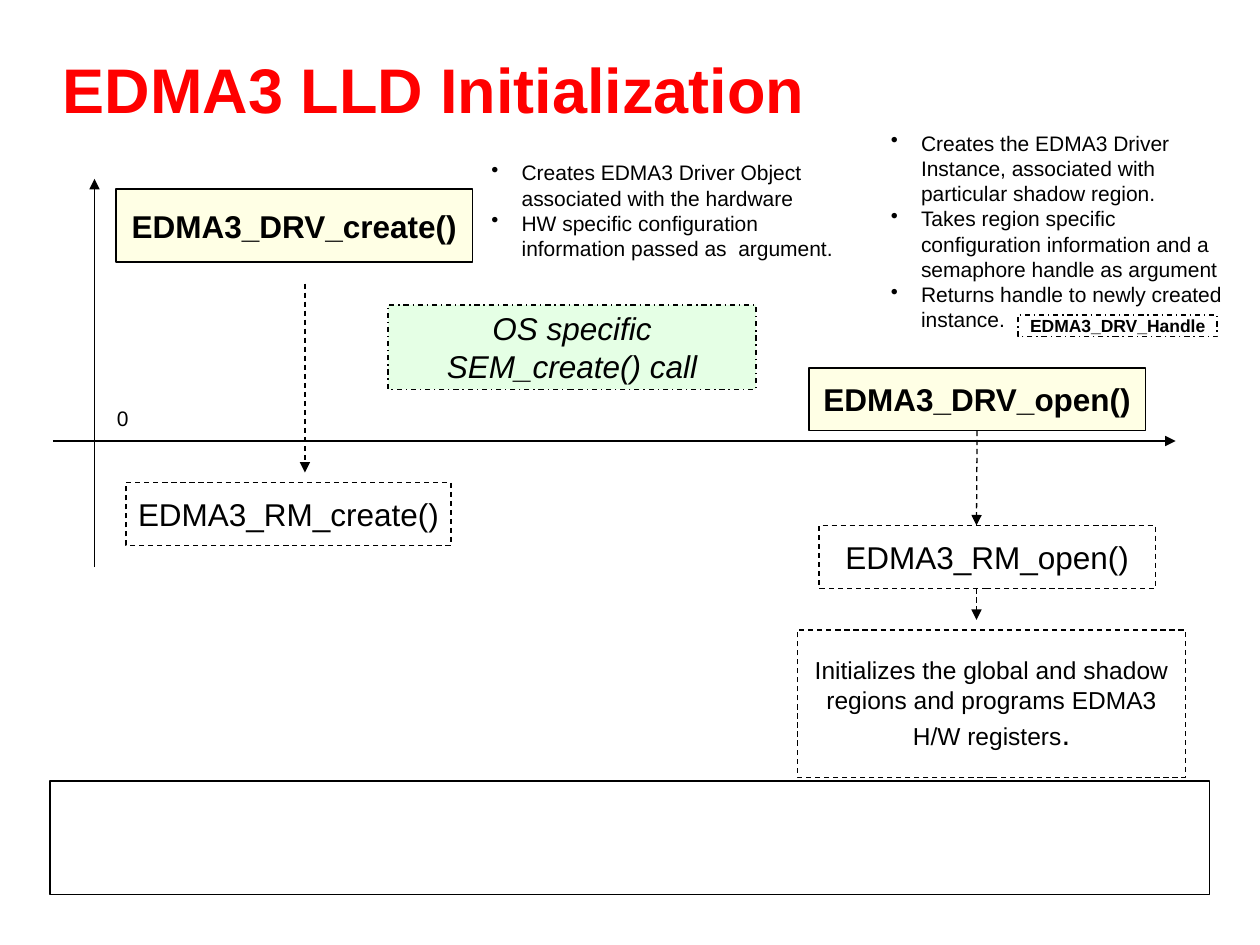
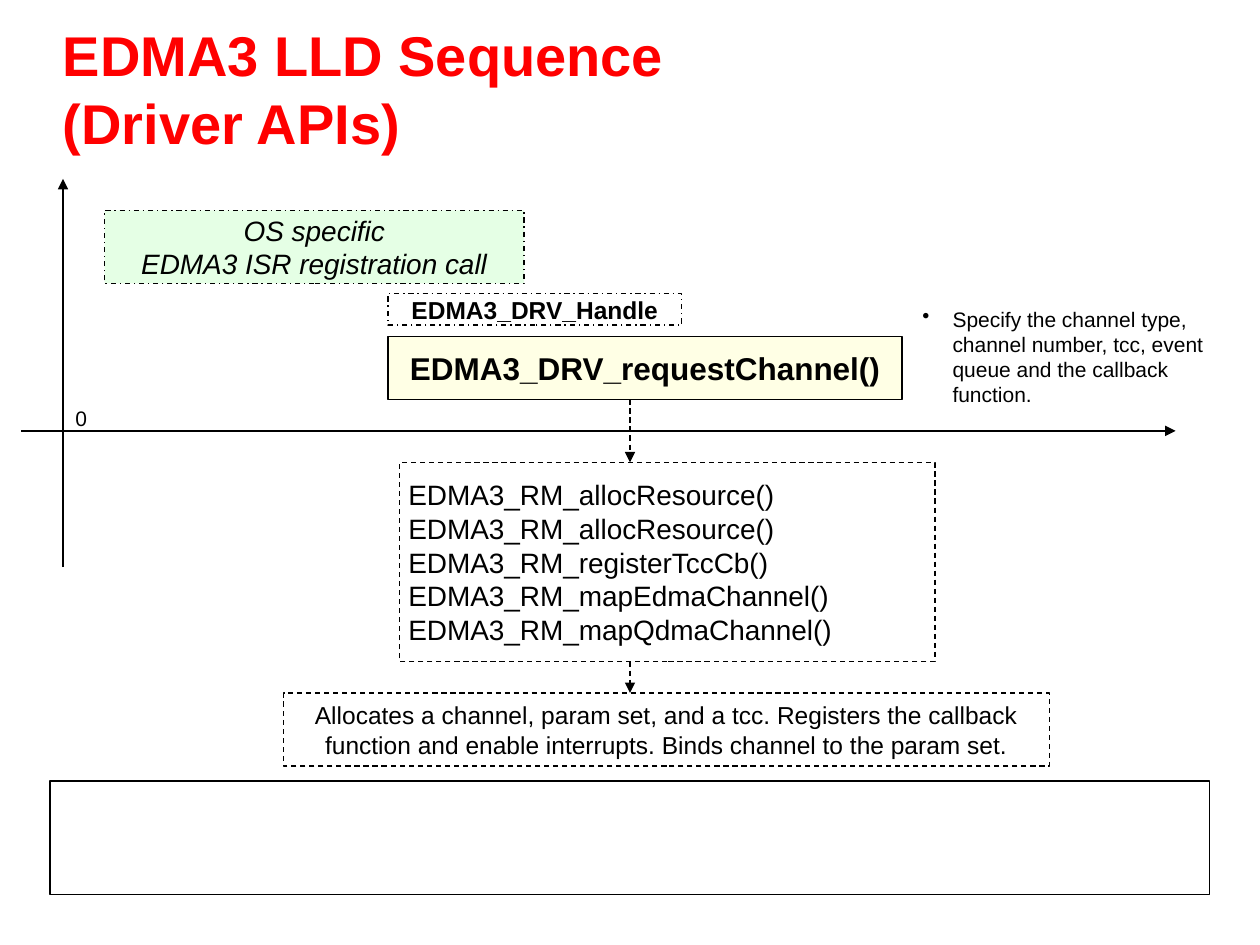
from lxml import etree
from pptx import Presentation
from pptx.dml.color import RGBColor
from pptx.enum import dml, shapes, text
from pptx.oxml import ns
from pptx.util import Inches, Pt

FONT = "Arial"
RED = RGBColor(0xFF, 0x00, 0x00)
BLACK = RGBColor(0x00, 0x00, 0x00)
CREAM = RGBColor(0xFF, 0xFF, 0xCC)
MINT = RGBColor(0xCC, 0xFF, 0xCC)
DASH = dml.MSO_LINE.DASH
DOT = dml.MSO_LINE.DASH_DOT
LEFT, MID = text.PP_ALIGN.LEFT, text.PP_ALIGN.CENTER


def write(shape, lines, size, color=BLACK, bold=False, italic=False,
          align=LEFT, bullet=False, pad=(0.07, 0.03)):
    """Fill a shape with vertically centred paragraphs."""
    frame = shape.text_frame
    frame.word_wrap = True
    frame.vertical_anchor = text.MSO_ANCHOR.MIDDLE
    frame.margin_left = frame.margin_right = Inches(pad[0])
    frame.margin_top = frame.margin_bottom = Inches(pad[1])
    for i, line in enumerate(lines):
        para = frame.paragraphs[0] if i == 0 else frame.add_paragraph()
        para.text = line
        para.alignment = align
        if bullet:
            props = para._p.get_or_add_pPr()
            props.set("marL", str(Inches(0.24)))
            props.set("indent", str(-Inches(0.24)))
            etree.SubElement(props, ns.qn("a:buChar"), char="•")
        font = para.font
        font.name, font.size = FONT, Pt(size)
        font.bold, font.italic = bold, italic
        font.color.rgb = color


def arrow(slide, x1, y1, x2, y2, dash=None):
    """Draw a thin arrow that points at its second end."""
    link = slide.shapes.add_connector(
        shapes.MSO_CONNECTOR.STRAIGHT, Inches(x1), Inches(y1), Inches(x2), Inches(y2))
    link.line.color.rgb = BLACK
    link.line.width = Pt(0.75)
    if dash:
        link.line.dash_style = dash
    etree.SubElement(link.line._get_or_add_ln(), ns.qn("a:tailEnd"), type="triangle")
    etree.SubElement(link._element.spPr, ns.qn("a:effectLst"))
    return link


deck = Presentation()
deck.slide_width, deck.slide_height = Inches(10), Inches(7.5)

# Shared frame: footer band, title, axes and origin
# title, size, axis x, axis y, axis start, origin x
pages = [
    ("EDMA3 LLD Initialization", 36, 0.75, 3.5, 0.42, 0.83),
    ("EDMA3 LLD Sequence\v(Driver APIs)", 32, 0.5, 3.42, 0.17, 0.5),
]
for title, size, axis, base, start, zero in pages:
    slide = deck.slides.add_slide(deck.slide_layouts[6])
    band = slide.shapes.add_shape(
        shapes.MSO_SHAPE.RECTANGLE, Inches(0.4), Inches(6.2), Inches(9.2), Inches(0.9))
    band.shadow.inherit = False
    band.fill.background()
    band.line.color.rgb = BLACK
    band.line.width = Pt(1)
    head = slide.shapes.add_textbox(Inches(0.4), Inches(0.1), Inches(9.2), Inches(1.2))
    write(head, [title], size, RED, bold=True, pad=(0.1, 0.05))
    arrow(slide, axis, 4.5, axis, 1.42)
    arrow(slide, start, base, 9.33, base)
    mark = slide.shapes.add_textbox(Inches(zero), Inches(3.17), Inches(0.33), Inches(0.3))
    write(mark, ["0"], 12, pad=(0.1, 0.05))
init, order = deck.slides

# Call boxes: slide, place, lines, size, fill, dash, bold, italic, align
calls = [
    (init, (0.92, 1.5, 2.83, 0.58), ["EDMA3_DRV_create()"], 18, CREAM, None, True, False, MID),
    (init, (1, 3.83, 2.58, 0.5), ["EDMA3_RM_create()"], 18, None, DASH, False, False, MID),
    (init, (6.42, 2.92, 2.67, 0.5), ["EDMA3_DRV_open()"], 18, CREAM, None, True, False, MID),
    (init, (6.5, 4.17, 2.67, 0.5), ["EDMA3_RM_open()"], 18, None, DASH, False, False, MID),
    (init, (6.33, 5, 3.08, 1.17),
     ["Initializes the global and shadow regions and programs EDMA3 H/W registers"],
     14, None, DASH, False, False, MID),
    (init, (8.08, 2.5, 1.58, 0.17), ["EDMA3_DRV_Handle"], 10, None, DOT, True, False, MID),
    (init, (3.08, 2.42, 2.92, 0.67), ["OS specific SEM_create() call"],
     18, MINT, DOT, False, True, MID),
    (order, (3.08, 2.67, 4.08, 0.5), ["EDMA3_DRV_requestChannel()"],
     18, CREAM, None, True, False, MID),
    (order, (3.17, 3.67, 4.25, 1.58),
     ["EDMA3_RM_allocResource()", "EDMA3_RM_allocResource()", "EDMA3_RM_registerTccCb()",
      "EDMA3_RM_mapEdmaChannel()", "EDMA3_RM_mapQdmaChannel()"],
     16, None, DASH, False, False, LEFT),
    (order, (2.25, 5.5, 6.08, 0.58),
     ["Allocates a channel, param set, and a tcc. Registers the callback function "
      "and enable interrupts. Binds channel to the param set."],
     14, None, DASH, False, False, MID),
    (order, (3.08, 2.33, 2.33, 0.25), ["EDMA3_DRV_Handle"], 14, None, DOT, True, False, MID),
    (order, (0.83, 1.67, 3.33, 0.58), ["OS specific", "EDMA3 ISR registration call"],
     16, MINT, DOT, False, True, MID),
]
boxes = []
for slide, place, lines, size, fill, dash, bold, italic, align in calls:
    box = slide.shapes.add_shape(shapes.MSO_SHAPE.RECTANGLE, *map(Inches, place))
    box.shadow.inherit = False
    if fill:
        box.fill.solid()
        box.fill.fore_color.rgb = fill
        tint = box._element.spPr.find(".//" + ns.qn("a:srgbClr"))
        etree.SubElement(tint, ns.qn("a:alpha"), val="50000")
    else:
        box.fill.background()
    box.line.color.rgb = BLACK
    box.line.width = Pt(0.75)
    if dash:
        box.line.dash_style = dash
    write(box, lines, size, bold=bold, italic=italic, align=align)
    boxes.append(box)

# Larger full stop after the register text
stop = boxes[4].text_frame.paragraphs[0].add_run()
stop.text = "."
stop.font.size = Pt(18)

# Call flow
arrow(init, 2.42, 2.25, 2.42, 3.75, DASH)
arrow(init, 7.75, 3.42, 7.75, 4.17, DASH).begin_connect(boxes[2], 2)
arrow(init, 7.75, 4.67, 7.75, 4.92, DASH)
arrow(order, 5, 3.17, 5, 3.67, DASH)
arrow(order, 5, 5.25, 5, 5.5, DASH)

# Bulleted notes
notes = [
    (init, (3.83, 1.17, 3, 1),
     ["Creates EDMA3 Driver Object associated with the hardware",
      "HW specific configuration information passed as  argument."]),
    (init, (7, 0.92, 2.83, 1.83),
     ["Creates the EDMA3 Driver Instance, associated with particular shadow region.",
      "Takes region specific configuration information and a semaphore handle as argument",
      "Returns handle to newly created instance."]),
    (order, (7.25, 2.33, 2.5, 1),
     ["Specify the channel type, channel number, tcc, event queue "
      "and the callback function."]),
]
for slide, place, lines in notes:
    note = slide.shapes.add_textbox(*map(Inches, place))
    write(note, lines, 12, bullet=True)

deck.save("out.pptx")
